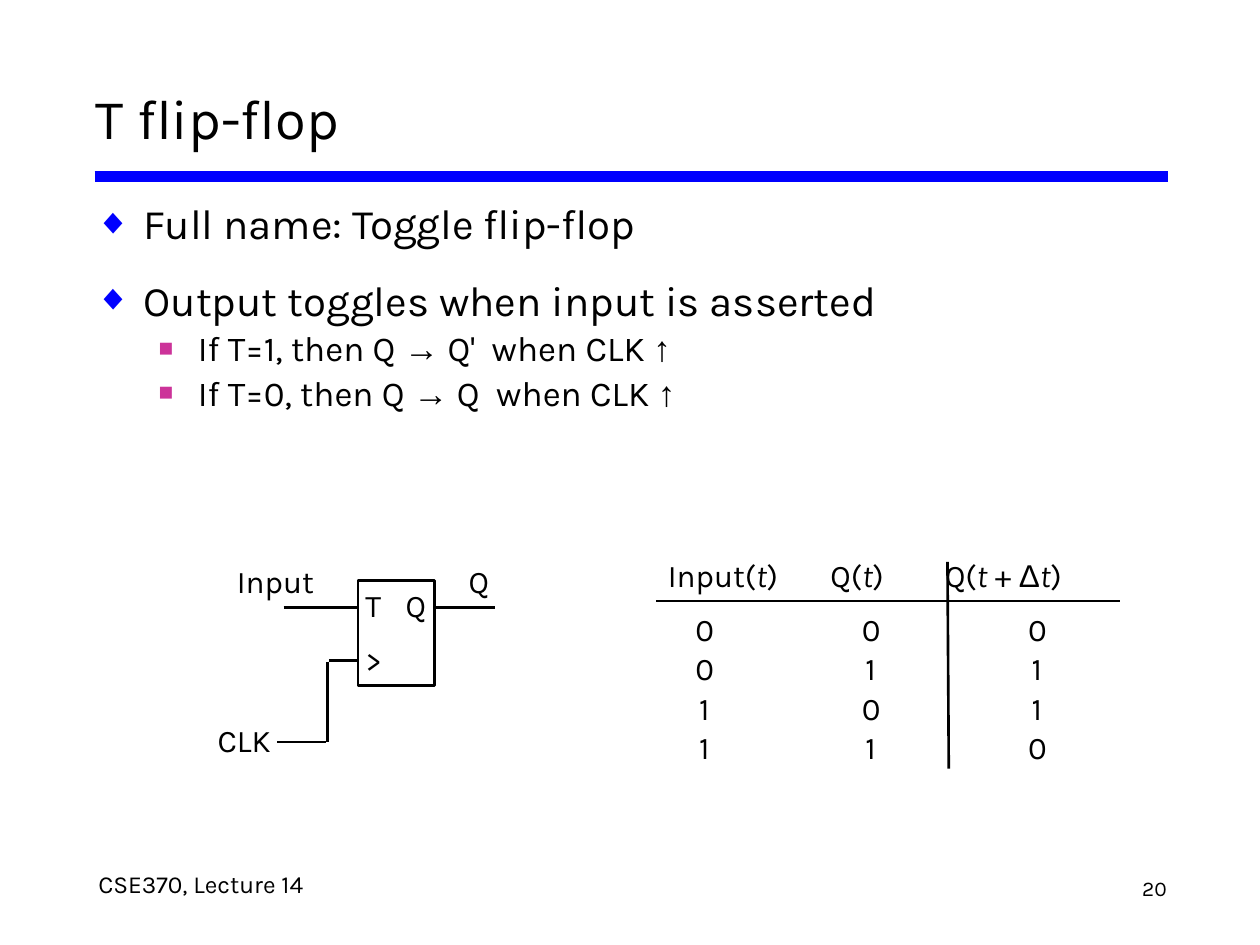
from lxml.etree import SubElement
from pptx import Presentation
from pptx.dml.color import RGBColor
from pptx.enum.shapes import MSO_CONNECTOR as Connector, MSO_SHAPE as Shape
from pptx.enum.text import MSO_ANCHOR as Anchor, MSO_AUTO_SIZE as AutoSize, PP_ALIGN as Align
from pptx.oxml.ns import qn
from pptx.util import Inches, Pt

FONT, BLACK, BLUE, PINK = "Karla", "000000", "0000FF", "CC3399"
ARROW = {"name": "Arial", "bold": True}
ITALIC = {"italic": True}

TITLE = "T flip-flop"
LEVELS = [
    {"size": 24, "indent": 0.38, "hang": 0.38, "mark": "◆", "color": BLUE, "scale": 85, "before": 15, "spacing": 1.0},
    {"size": 20, "indent": 0.81, "hang": 0.31, "mark": "■", "color": PINK, "scale": 70, "before": 0, "spacing": 1.05},
]
BULLETS = [
    (0, ["Full name: Toggle flip-flop"]),
    (0, ["Output toggles when input is asserted"]),
    (1, ["If T=1, then Q ", ("→", ARROW), " Q'  when CLK ", ("↑", ARROW)]),
    (1, ["If T=0, then Q ", ("→", ARROW), " Q  when CLK ", ("↑", ARROW)]),
]
LABELS = [
    ("Input", 1.86, 4.43, 0.75, Align.LEFT),
    ("Q", 3.7, 4.43, 0.62, Align.LEFT),
    ("T", 2.88, 4.62, 0.26, Align.LEFT),
    ("Q", 3.2, 4.62, 0.28, Align.LEFT),
    (">", 2.88, 5.06, 0.26, Align.LEFT),
    ("CLK", 1.27, 5.69, 0.9, Align.RIGHT),
]
WIRES = [
    (2.25, 4.82, 2.83, 4.82),
    (3.45, 4.82, 3.93, 4.82),
    (2.61, 5.24, 2.83, 5.24),
    (2.2, 5.89, 2.59, 5.89),
    (2.6, 5.25, 2.6, 5.89),
]
TABLE_RULES = [(7.52, 4.46, 7.53, 6.1), (5.21, 4.77, 8.89, 4.77)]
HEADINGS = ["Input(", ("t", ITALIC), ")\tQ(", ("t", ITALIC), ")\tQ(", ("t", ITALIC),
            " + ", ("Δ", {"name": "Arial"}), ("t", ITALIC), ")"]
HEADING_TABS = (1.29, 2.2)
TRUTH = ["000", "011", "101", "110"]
GRID_LEFT, GRID_TOP, COLUMN, ROW = 5.52, 4.95, 1.32, 0.31


def rgb(value):
    return RGBColor.from_string(value)


def write(para, spans, size=18, align=Align.LEFT, leading=None):
    para.alignment = align
    if leading:
        para.line_spacing = leading
    for item in spans:
        text, style = (item, {}) if isinstance(item, str) else item
        span = para.add_run()
        span.text = text
        font = span.font
        font.size = Pt(size)
        font.name = style.get("name", FONT)
        font.bold = style.get("bold", False)
        font.italic = style.get("italic", False)
        font.color.rgb = rgb(BLACK)


def add_text(page, spans, left, top, width, height, wrap=False, margins=(0.02, 0.03), tabs=(), **style):
    box = page.shapes.add_textbox(*map(Inches, (left, top, width, height)))
    frame = box.text_frame
    frame.word_wrap = wrap
    frame.margin_left = frame.margin_right = Inches(margins[0])
    frame.margin_top = frame.margin_bottom = Inches(margins[1])
    para = frame.paragraphs[0]
    if tabs:
        stops = SubElement(para._p.get_or_add_pPr(), qn("a:tabLst"))
        for stop in tabs:
            SubElement(stops, qn("a:tab"), pos=str(Inches(stop)), algn="l")
    write(para, spans, **style)


def add_line(page, ends, color=BLACK, width=1.5):
    line = page.shapes.add_connector(Connector.STRAIGHT, *map(Inches, ends))
    line.line.color.rgb = rgb(color)
    line.line.width = Pt(width)
    SubElement(line._element.spPr, qn("a:effectLst"))


def place(holder, left, top, width, height):
    holder.left, holder.top, holder.width, holder.height = map(Inches, (left, top, width, height))
    holder.text_frame.auto_size = AutoSize.NONE
    return holder.text_frame


def add_bullet(para, level):
    props = para._p.get_or_add_pPr()
    props.set("marL", str(Inches(level["indent"])))
    props.set("indent", str(-Inches(level["hang"])))
    SubElement(SubElement(props, qn("a:buClr")), qn("a:srgbClr"), val=level["color"])
    SubElement(props, qn("a:buSzPct"), val=str(level["scale"] * 1000))
    SubElement(props, qn("a:buFont"), typeface="Arial")
    SubElement(props, qn("a:buChar"), char=level["mark"])


def fill_text(page):
    frame = place(page.shapes.title, 0.66, 0.52, 8.68, 0.82)
    frame.vertical_anchor = Anchor.MIDDLE
    write(frame.paragraphs[0], [TITLE], size=32)
    frame = place(page.placeholders[1], 0.66, 1.52, 8.68, 2.45)
    for index, (depth, spans) in enumerate(BULLETS):
        para = frame.add_paragraph() if index else frame.paragraphs[0]
        level = LEVELS[depth]
        para.level = depth
        add_bullet(para, level)
        para.space_before = Pt(level["before"] if index else 0)
        write(para, spans, size=level["size"], leading=level["spacing"])


def draw_circuit(page):
    block = page.shapes.add_shape(Shape.RECTANGLE, *map(Inches, (2.84, 4.61, 0.61, 0.83)))
    block.shadow.inherit = False
    block.fill.background()
    block.line.color.rgb = rgb(BLACK)
    block.line.width = Pt(1.5)
    for ends in WIRES:
        add_line(page, ends)
    for text, left, top, width, align in LABELS:
        add_text(page, [text], left, top, width, 0.33, align=align)


def draw_truth_table(page):
    add_text(page, HEADINGS, 5.28, 4.38, 3.39, 0.47, wrap=True, tabs=HEADING_TABS)
    for ends in TABLE_RULES:
        add_line(page, ends)
    for row, digits in enumerate(TRUTH):
        for column, digit in enumerate(digits):
            add_text(page, [digit], GRID_LEFT + column * COLUMN, GRID_TOP + row * ROW, 0.14, 0.19,
                     margins=(0, 0), align=Align.CENTER, leading=Pt(14))


def main():
    """Build the T flip-flop slide."""
    deck = Presentation()
    deck.slide_width, deck.slide_height = Inches(10), Inches(7.5)
    page = deck.slides.add_slide(deck.slide_layouts[1])
    add_line(page, (0.75, 1.4, 9.27, 1.4), color=BLUE, width=6)
    fill_text(page)
    draw_circuit(page)
    draw_truth_table(page)
    add_text(page, ["CSE370, Lecture 14"], 0.76, 6.88, 3.71, 0.37, size=14, leading=Pt(16))
    add_text(page, ["20"], 8.89, 6.9, 0.39, 0.36, size=12, align=Align.RIGHT, leading=Pt(16))
    deck.save("out.pptx")


if __name__ == "__main__":
    main()
